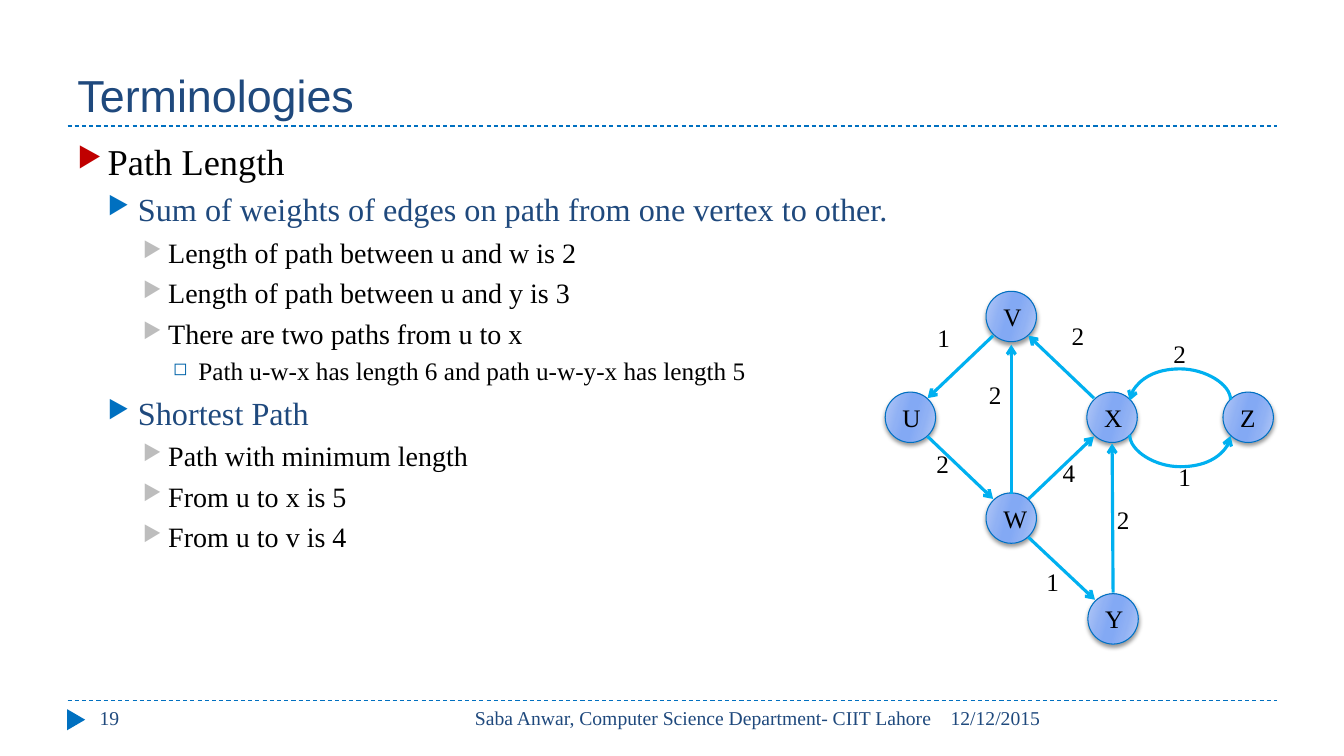
from lxml import etree
from pptx import Presentation
from pptx.dml.color import RGBColor
from pptx.enum import dml, shapes, text
from pptx.oxml import ns
from pptx.util import Inches, Pt

NAVY = RGBColor(0x1F, 0x49, 0x7D)
BLUE = RGBColor(0x00, 0x70, 0xC0)
DEEP = RGBColor(0x00, 0x63, 0xA9)
SKY = RGBColor(0x00, 0xB0, 0xF0)
RED = RGBColor(0xC0, 0x00, 0x00)
GREY = RGBColor(0xBD, 0xBD, 0xBD)
BLACK = RGBColor(0x00, 0x00, 0x00)
PALE = RGBColor(0xB4, 0xC9, 0xF6)
MID = RGBColor(0x90, 0xB1, 0xF4)
CORE = RGBColor(0x83, 0xA9, 0xF4)

SERIF = "Times New Roman"
STOPS = [(0, PALE), (30, MID), (45, CORE), (55, CORE), (73, MID), (100, PALE)]
LEVELS = [
    (0.3, 0.3, 6, "▶", RED, 76, 26, BLACK),
    (0.6, 0.3, 5, "▶", BLUE, 76, 23, NAVY),
    (0.9, 0.25, 5, "▶", GREY, 76, 20, BLACK),
    (1.2, 0.25, 4, "◻", DEEP, 70, 18, BLACK),
]
POINTS = [
    (0, "Path Length"),
    (1, "Sum of weights of edges on path from one vertex to other."),
    (2, "Length of path between u and w is 2"),
    (2, "Length of path between u and y is 3"),
    (2, "There are two paths from u to x"),
    (3, "Path u-w-x has length 6 and path u-w-y-x has length 5"),
    (1, "Shortest Path"),
    (2, "Path with minimum length"),
    (2, "From u to x is 5"),
    (2, "From u to v is 4"),
]
NODES = [("X", 10.78, 3.89), ("U", 8.78, 3.89), ("V", 9.78, 2.89),
         ("W", 9.78, 4.89), ("Z", 12.13, 3.89), ("Y", 10.79, 5.89)]
EDGES = [
    ((9.85, 3.33), (9.2, 3.95)),
    ((9.2, 4.33), (9.85, 4.95)),
    ((10.2, 4.95), (10.85, 4.33)),
    ((10.85, 3.95), (10.2, 3.33)),
    ((10.03, 4.9), (10.03, 3.42)),
    ((10.2, 5.33), (10.86, 5.95)),
    ((11.04, 5.88), (11.03, 4.4)),
]
WEIGHTS = [("1", 9.2, 3.15), ("2", 9.19, 4.4), ("2", 10.53, 3.13),
           ("4", 10.44, 4.49), ("2", 9.71, 3.71), ("1", 10.28, 5.57),
           ("2", 10.98, 4.95), ("2", 11.54, 3.31), ("1", 11.59, 4.53)]


def add(parent, tag, **attrs):
    node = etree.SubElement(parent, ns.qn(tag))
    for key, value in attrs.items():
        node.set(key, str(value))
    return node


def tint(parent, color):
    return add(parent, "a:srgbClr", val=color)


class Deck:
    def __init__(self, slide, font):
        self.items = slide.shapes
        self.font = font

    def style(self, para, size, color, face=None):
        for run in para.runs:
            run.font.size = Pt(size)
            run.font.name = face or self.font
            run.font.color.rgb = color

    def label(self, words, box, size, color, face=None, wrap=True,
              anchor=text.MSO_ANCHOR.TOP, align=text.PP_ALIGN.LEFT):
        frame = self.items.add_textbox(*map(Inches, box)).text_frame
        frame.word_wrap = wrap
        frame.vertical_anchor = anchor
        frame.text = words
        frame.paragraphs[0].alignment = align
        self.style(frame.paragraphs[0], size, color, face)

    def line(self, start, end, color, width, kind=shapes.MSO_CONNECTOR.STRAIGHT):
        line = self.items.add_connector(kind, *map(Inches, start + end))
        line.line.color.rgb = color
        line.line.width = Pt(width)
        add(line._element.spPr, "a:effectLst")
        return line

    def rule(self, y):
        line = self.line((0.67, y), (12.67, y), BLUE, 0.75)
        line.line.dash_style = dml.MSO_LINE.DASH

    def edge(self, start, end):
        line = self.line(start, end, SKY, 2.25)
        add(line.line._get_or_add_ln(), "a:tailEnd", type="arrow")

    def arc(self, start, end, turn, tip):
        line = self.line(start, end, SKY, 2.25, shapes.MSO_CONNECTOR.CURVE)
        add(line.line._get_or_add_ln(), tip, type="arrow")
        props = line._element.spPr
        props.find(ns.qn("a:xfrm")).set("rot", str(turn * 60000))
        guides = props.find(ns.qn("a:prstGeom")).find(ns.qn("a:avLst"))
        add(guides, "a:gd", name="adj1", fmla="val 3200000")

    def marker(self, box):
        mark = self.items.add_shape(shapes.MSO_SHAPE.ISOSCELES_TRIANGLE,
                                    *map(Inches, box))
        mark.rotation = 90
        mark.shadow.inherit = False
        mark.fill.solid()
        mark.fill.fore_color.rgb = BLUE
        mark.line.fill.background()

    def node(self, name, x, y):
        disc = self.items.add_shape(shapes.MSO_SHAPE.OVAL,
                                    *map(Inches, (x, y, 0.5, 0.5)))
        disc.shadow.inherit = False
        props = disc._element.spPr
        grad = etree.Element(ns.qn("a:gradFill"), rotWithShape="1")
        stops = add(grad, "a:gsLst")
        for place, color in STOPS:
            tint(add(stops, "a:gs", pos=place * 1000), color)
        add(grad, "a:lin", ang=16 * 60000, scaled=0)
        props.insert(2, grad)
        disc.line.color.rgb = BLUE
        disc.line.width = Pt(0.75)
        shade = add(props.find(ns.qn("a:effectLst")), "a:outerShdw",
                    blurRad=Pt(3), dist=Pt(2), dir=90 * 60000, rotWithShape=0)
        add(tint(shade, BLACK), "a:alpha", val=40000)
        frame = disc.text_frame
        frame.word_wrap = False
        frame.vertical_anchor = text.MSO_ANCHOR.MIDDLE
        frame.text = name
        frame.paragraphs[0].alignment = text.PP_ALIGN.LEFT
        self.style(frame.paragraphs[0], 18, BLACK)

    def outline(self, points, box):
        frame = self.items.add_textbox(*map(Inches, box)).text_frame
        frame.word_wrap = True
        frame.text = "\n".join(words for _, words in points)
        for index, (para, (level, _)) in enumerate(zip(frame.paragraphs, points)):
            left, hang, gap, sign, hue, scale, size, color = LEVELS[level]
            para.level = level
            para.space_before = Pt(gap if index else 0)
            props = para._p.get_or_add_pPr()
            props.set("marL", str(Inches(left)))
            props.set("indent", str(-Inches(hang)))
            tint(add(props, "a:buClr"), hue)
            add(props, "a:buSzPct", val=scale * 1000)
            add(props, "a:buChar", char=sign)
            self.style(para, size, color)


def main():
    show = Presentation()
    show.slide_width, show.slide_height = Inches(13.33), Inches(7.5)
    deck = Deck(show.slides.add_slide(show.slide_layouts[6]), SERIF)
    for y in (6.95, 1.25):
        deck.rule(y)
    deck.marker((0.65, 7.05, 0.21, 0.18))
    deck.label("Terminologies", (0.67, 0.25, 12, 1), 32, NAVY, "Arial",
               anchor=text.MSO_ANCHOR.BOTTOM)
    deck.label("12/12/2015", (9.33, 6.95, 3.34, 0.4), 14, NAVY)
    deck.label("Saba Anwar, Computer Science Department- CIIT Lahore",
               (4.23, 6.95, 5.11, 0.4), 14, NAVY, align=text.PP_ALIGN.RIGHT)
    deck.label("19", (0.89, 6.95, 2.89, 0.4), 14, NAVY)
    deck.outline(POINTS, (0.67, 1.33, 12, 5.4))
    for name, x, y in NODES:
        deck.node(name, x, y)
    for start, end in EDGES:
        deck.edge(start, end)
    for weight, x, y in WEIGHTS:
        deck.label(weight, (x, y, 0.33, 0.4), 18, BLACK, wrap=False)
    deck.arc((11.71, 3.82), (11.7, 4.82), 270, "a:tailEnd")
    deck.arc((11.71, 4.47), (11.7, 3.47), 90, "a:headEnd")
    show.save("out.pptx")


if __name__ == "__main__":
    main()
